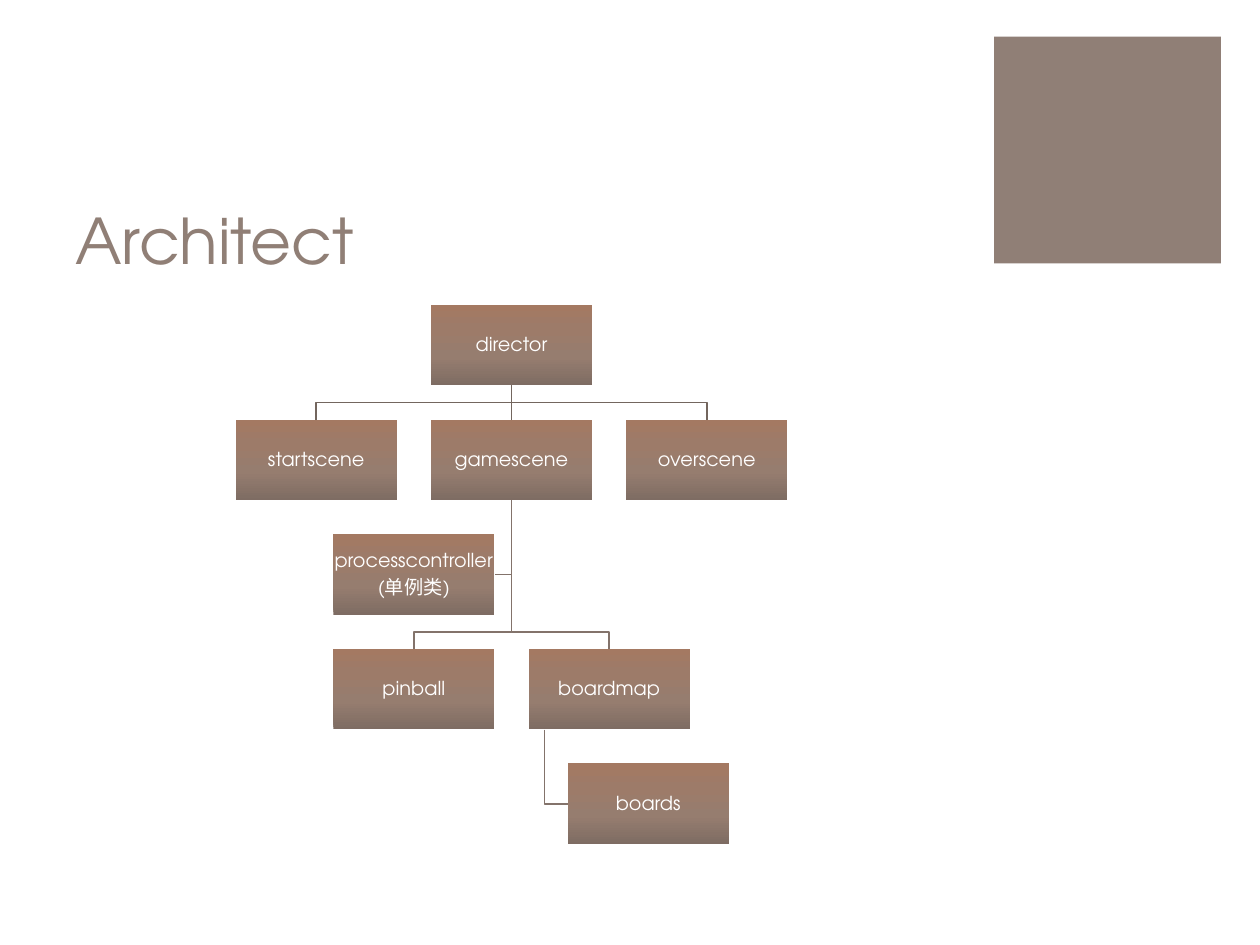
from dataclasses import dataclass

from lxml import etree
from pptx import Presentation
from pptx import util as u
from pptx.dml.color import RGBColor
from pptx.enum import shapes, text
from pptx.oxml.ns import qn


@dataclass(frozen=True)
class Theme:
    font: str = "TeX Gyre Adventor"
    accent: str = "907F76"
    white: str = "FFFFFF"
    dark: str = "73665E"
    light: str = "83736B"
    stops: tuple = ((0, "7E6C63"), (35, "967D6F"), (70, "9D7B69"), (100, "A47962"))
    title: int = 36
    label: int = 11


# Chart grid: box size, the centre box's left edge, and the pitches
WIDE, HIGH = 1.28, 0.64
LEFT, TOP = 3.42, 2.42
COL, ROW = 1.55, 0.91


class Node:
    def __init__(self, col, row):
        self.left, self.top = LEFT + col * COL, TOP + row * ROW
        self.right, self.base = self.left + WIDE, self.top + HIGH
        self.mid, self.level = self.left + WIDE / 2, self.top + HIGH / 2


class Deck:
    def __init__(self, theme):
        self.theme = theme
        self.file = Presentation()
        self.file.slide_width, self.file.slide_height = u.Inches(10), u.Inches(7.5)
        self.slide = self.file.slides.add_slide(self.file.slide_layouts[6])

    def label(self, para, words, size, color):
        run = para.add_run()
        run.text = words
        run.font.name = self.theme.font
        run.font.size = u.Pt(size)
        run.font.color.rgb = RGBColor.from_string(color)

    def rect(self, *place):
        box = self.slide.shapes.add_shape(
            shapes.MSO_SHAPE.RECTANGLE, *map(u.Inches, place))
        box.shadow.inherit = False
        box.line.fill.background()
        return box

    def block(self, *place):
        fill = self.rect(*place).fill
        fill.solid()
        fill.fore_color.rgb = RGBColor.from_string(self.theme.accent)

    def title(self, words, *place):
        frame = self.slide.shapes.add_textbox(*map(u.Inches, place)).text_frame
        frame.word_wrap = True
        frame.vertical_anchor = text.MSO_ANCHOR.BOTTOM
        self.label(frame.paragraphs[0], words, self.theme.title, self.theme.accent)

    def shade(self, box):
        box.fill.gradient()
        box.fill.gradient_angle = 90
        stops = box._element.spPr.find(qn("a:gradFill")).find(qn("a:gsLst"))
        for old in list(stops):
            stops.remove(old)
        for part, color in self.theme.stops:
            stop = etree.SubElement(stops, qn("a:gs"), pos=str(part * 1000))
            etree.SubElement(stop, qn("a:srgbClr"), val=color)

    def node(self, spot, lines):
        box = self.rect(spot.left, spot.top, WIDE, HIGH)
        self.shade(box)
        frame = box.text_frame
        frame.word_wrap = True
        frame.vertical_anchor = text.MSO_ANCHOR.MIDDLE
        frame.margin_left = frame.margin_right = u.Inches(0.01)
        frame.margin_top = frame.margin_bottom = u.Inches(0.01)
        for i, words in enumerate(lines):
            para = frame.add_paragraph() if i else frame.paragraphs[0]
            para.alignment = text.PP_ALIGN.CENTER
            para.line_spacing = 0.9
            para.space_after = u.Pt(0.35 * self.theme.label)
            self.label(para, words, self.theme.label, self.theme.white)

    def stroke(self, line, color):
        line.color.rgb = RGBColor.from_string(color)
        line.width = u.Pt(1)

    def bend(self, color, *points):
        spots = [(u.Inches(x), u.Inches(y)) for x, y in points]
        form = self.slide.shapes.build_freeform(*spots[0])
        form.add_line_segments(spots[1:], close=False)
        shape = form.convert_to_shape()
        shape.shadow.inherit = False
        shape.fill.background()
        self.stroke(shape.line, color)

    def straight(self, color, *ends):
        link = self.slide.shapes.add_connector(
            shapes.MSO_CONNECTOR.STRAIGHT, *map(u.Inches, ends))
        self.stroke(link.line, color)
        etree.SubElement(link._element.spPr, qn("a:effectLst"))

    def fork(self, color, head, child):
        turn = child.top - (ROW - HIGH) / 2
        self.bend(color, (head.mid, head.base), (head.mid, turn),
                  (child.mid, turn), (child.mid, child.top))


def main():
    theme = Theme()
    deck = Deck(theme)

    # Heading and corner square
    deck.block(7.89, 0.29, 1.8, 1.8)
    deck.title("Architect", 0.5, 1, 7.12, 1.25)

    # Places in the chart
    head, start, game, over = Node(0, 0), Node(-1, 1), Node(0, 1), Node(1, 1)
    process, ball = Node(-0.5, 2), Node(-0.5, 3)
    board, leaf = Node(0.5, 3), Node(0.7, 4)

    # Links
    for child in (start, over):
        deck.fork(theme.dark, head, child)
    deck.straight(theme.dark, head.mid, head.base, game.mid, game.top)
    for child in (ball, board):
        deck.fork(theme.light, game, child)
    deck.bend(theme.light, (game.mid, game.base), (game.mid, process.level),
              (process.right, process.level))
    stem = board.left + WIDE / 10
    deck.bend(theme.light, (stem, board.base), (stem, leaf.level),
              (leaf.left, leaf.level))

    # Boxes
    for spot, *lines in (
        (head, "director"),
        (start, "startscene"),
        (game, "gamescene"),
        (over, "overscene"),
        (process, "processcontroller", "(单例类)"),
        (ball, "pinball"),
        (board, "boardmap"),
        (leaf, "boards"),
    ):
        deck.node(spot, lines)

    deck.file.save("out.pptx")


if __name__ == "__main__":
    main()
